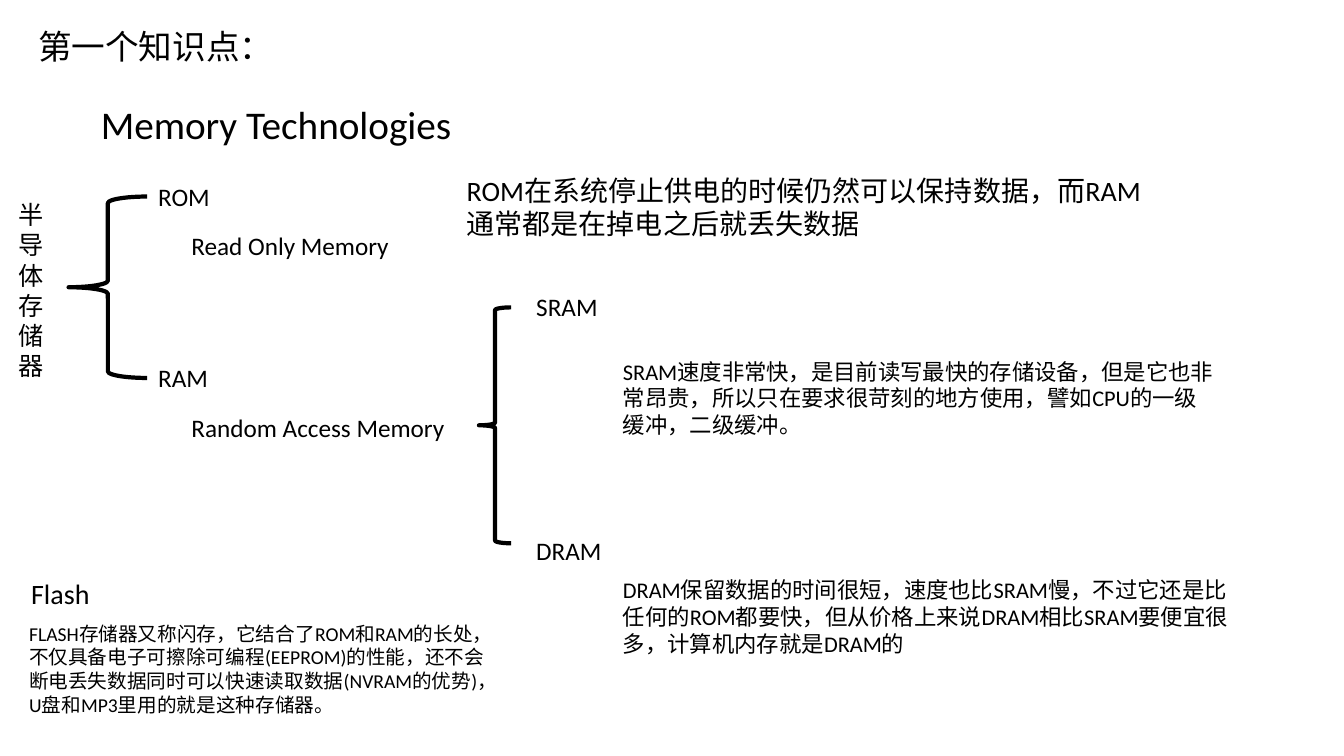
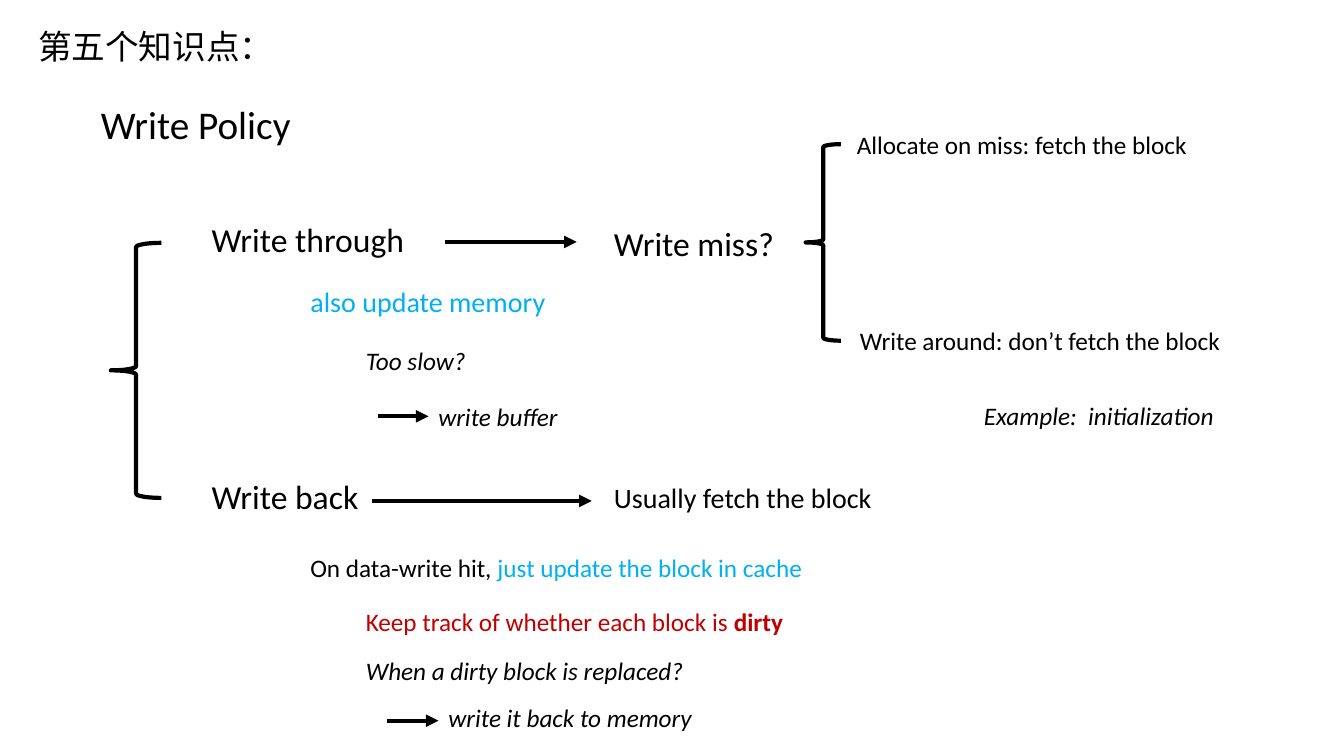
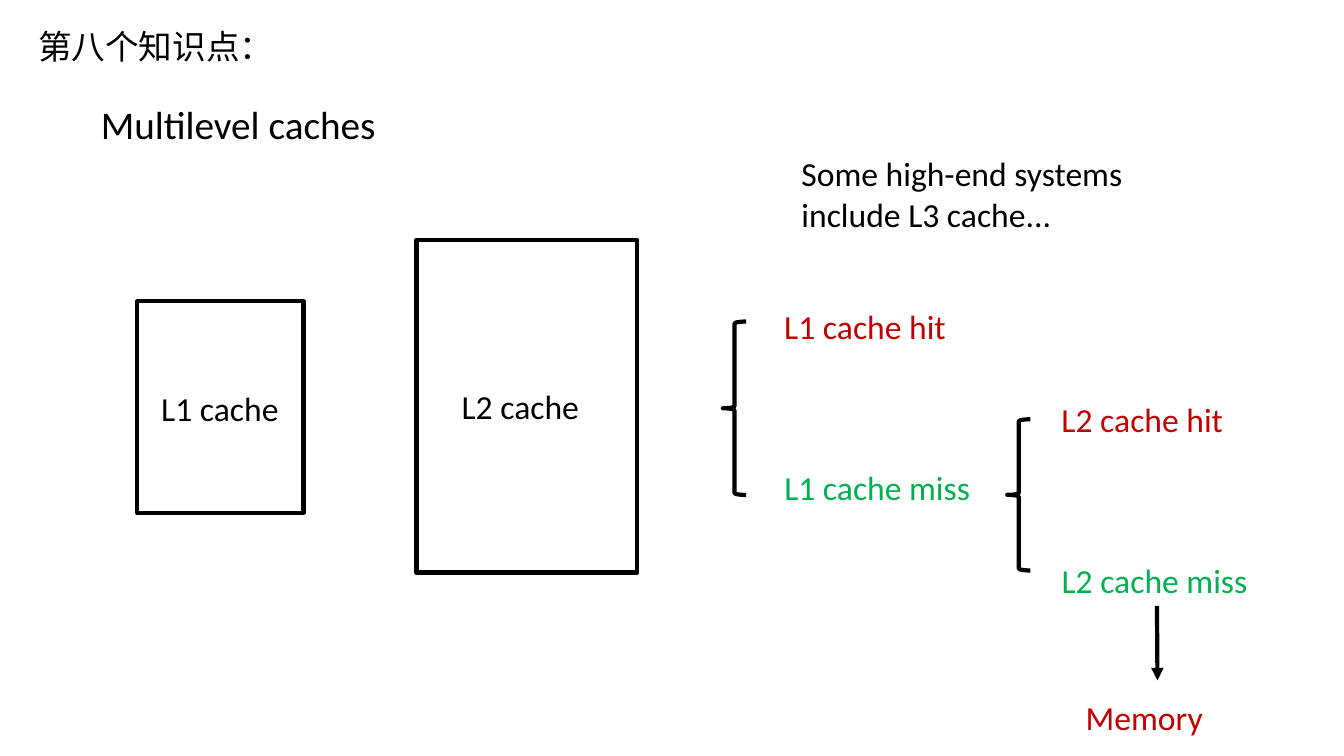
from lxml import etree
from pptx import Presentation
from pptx.dml.color import RGBColor
from pptx.enum.shapes import MSO_CONNECTOR as Connector, MSO_SHAPE as Shape
from pptx.enum.text import MSO_ANCHOR as Anchor, MSO_AUTO_SIZE as AutoSize, PP_ALIGN as Align
from pptx.oxml.ns import qn
from pptx.util import Inches, Pt

BLACK = RGBColor(0x00, 0x00, 0x00)
BLUE = RGBColor(0x00, 0xB0, 0xF0)
RED = RGBColor(0xC0, 0x00, 0x00)
GREEN = RGBColor(0x00, 0xB0, 0x50)

LATIN_FONT = "Calibri"
CHINESE_FONT = "Noto Sans CJK SC"
LINE_WIDTH = Pt(3)
TOP, LEFT, BOTTOM = 0, 1, 2

PLAIN = {}
ITALIC = {"italic": True}
IN_BLUE = {"color": BLUE}
IN_RED = {"color": RED}
IN_GREEN = {"color": GREEN}
BOLD_RED = {"color": RED, "bold": True}

# texts: left, top, width, size, number of lines, then (words, style) spans
# braces and boxes: left, top, width, height
# arrows: start, end, text joined at the start (side), text joined at the end (side)
SLIDES = [
    {
        "label": "第一个知识点：",
        "title": "Memory Technologies",
        "texts": [
            (1.47, 1.75, 1.15, 18, 1, ("ROM", PLAIN)),
            (1.47, 3.55, 1.15, 18, 1, ("RAM", PLAIN)),
            (0.09, 1.93, 0.44, 18, 6, ("半导体存储器", PLAIN)),
            (1.8, 2.24, 2.48, 18, 1, ("Read Only Memory", PLAIN)),
            (4.53, 1.67, 7.09, 20, 2,
             ("ROM在系统停止供电的时候仍然可以保持数据，而RAM通常都是在掉电之后就丢失数据", PLAIN)),
            (1.8, 4.04, 3.11, 18, 1, ("Random Access Memory", PLAIN)),
            (5.22, 2.84, 1.15, 18, 1, ("SRAM", PLAIN)),
            (5.22, 5.26, 1.15, 18, 1, ("DRAM", PLAIN)),
            (6.08, 3.5, 6.11, 16, 3,
             ("SRAM速度非常快，是目前读写最快的存储设备，但是它也非常昂贵，"
              "所以只在要求很苛刻的地方使用，譬如CPU的一级缓冲，二级缓冲。", PLAIN)),
            (6.08, 5.67, 6.27, 16, 3,
             ("DRAM保留数据的时间很短，速度也比SRAM慢，不过它还是比任何的ROM都要快，"
              "但从价格上来说DRAM相比SRAM要便宜很多，计算机内存就是DRAM的", PLAIN)),
            (0.21, 5.67, 0.95, 20, 1, ("Flash", PLAIN)),
            (0.19, 6.12, 4.85, 14, 4,
             ("FLASH存储器又称闪存，它结合了ROM和RAM的长处，不仅具备电子可擦除可编程(EEPROM)的性能，"
              "还不会断电丢失数据同时可以快速读取数据(NVRAM的优势)，U盘和MP3里用的就是这种存储器。", PLAIN)),
        ],
        "braces": [(0.68, 1.95, 0.78, 1.8), (4.75, 3.05, 0.32, 2.34)],
        "boxes": [],
        "arrows": [],
    },
    {
        "label": "第五个知识点：",
        "title": "Write Policy",
        "texts": [
            (2, 2.12, 2.25, 24, 1, ("Write through", PLAIN)),
            (2, 4.67, 2.25, 24, 1, ("Write back", PLAIN)),
            (2.98, 2.77, 2.55, 20, 1, ("also update memory", IN_BLUE)),
            (3.53, 3.38, 1.2, 18, 1, ("Too slow?", ITALIC)),
            (4.25, 3.93, 1.4, 18, 1, ("write buffer", ITALIC)),
            (2.98, 5.43, 5.14, 18, 1,
             ("On data-write hit, ", PLAIN), ("just update the block in cache", IN_BLUE)),
            (3.53, 5.97, 4.37, 18, 1,
             ("Keep track of whether each block is ", IN_RED), ("dirty", BOLD_RED)),
            (3.53, 6.45, 3.38, 18, 1, ("When a dirty block is replaced?", ITALIC)),
            (4.35, 6.92, 2.64, 18, 1, ("write it back to memory", ITALIC)),
            (5.99, 2.16, 2.25, 24, 1, ("Write miss?", PLAIN)),
            (8.4, 1.23, 3.51, 18, 1, ("Allocate on miss: fetch the block", PLAIN)),
            (8.43, 3.18, 3.81, 18, 1, ("Write around: don’t fetch the block", PLAIN)),
            (5.99, 4.72, 2.78, 20, 1, ("Usually fetch the block", PLAIN)),
            (9.66, 3.92, 2.57, 18, 1, ("Example:  initialization", ITALIC)),
        ],
        "braces": [(1.1, 2.41, 0.5, 2.53), (7.99, 1.43, 0.35, 1.95)],
        "boxes": [],
        "arrows": [
            ((3.75, 4.13), (4.25, 4.13), None, ("write buffer", LEFT)),
            ((3.84, 7.15), (4.35, 7.15), None, None),
            ((4.41, 2.4), (5.72, 2.4), None, None),
            ((3.69, 4.97), (5.87, 4.97), None, None),
        ],
    },
    {
        "label": "第八个知识点：",
        "title": "Multilevel caches",
        "texts": [
            (1.5, 3.8, 1.38, 24, 1, ("L1 cache", PLAIN)),
            (4.48, 3.78, 1.83, 24, 1, ("L2 cache", PLAIN)),
            (7.85, 1.47, 4.02, 24, 2, ("Some high-end systems include L3 cache...", PLAIN)),
            (7.68, 2.99, 1.93, 24, 1, ("L1 cache hit", IN_RED)),
            (7.68, 4.58, 2.09, 24, 1, ("L1 cache miss", IN_GREEN)),
            (10.43, 3.91, 1.93, 24, 1, ("L2 cache hit", IN_RED)),
            (10.43, 5.51, 2.09, 24, 1, ("L2 cache miss", IN_GREEN)),
            (10.67, 6.86, 1.62, 24, 1, ("Memory", IN_RED)),
        ],
        "braces": [(7.17, 3.19, 0.23, 1.72), (9.99, 4.16, 0.23, 1.5)],
        "boxes": [(1.36, 2.99, 1.65, 2.1), (4.13, 2.38, 2.19, 3.3)],
        "arrows": [((11.48, 6.01), (11.48, 6.75), ("L2 cache miss", BOTTOM), None)],
    },
]


def set_text(shape, size, spans):
    """Write (words, style) spans into the shape's only paragraph."""
    frame = shape.text_frame
    frame.word_wrap = True
    frame.auto_size = AutoSize.SHAPE_TO_FIT_TEXT
    frame.vertical_anchor = Anchor.TOP
    para = frame.paragraphs[0]
    para.alignment = Align.LEFT
    for words, style in spans:
        span = para.add_run()
        span.text = words
        font_values = {"name": LATIN_FONT, "size": Pt(size), "bold": False, "italic": False}
        font_values.update(style)
        span.font.color.rgb = font_values.pop("color", BLACK)
        for name, value in font_values.items():
            setattr(span.font, name, value)
        latin = span.font._element.find(qn("a:latin"))
        east_asian = etree.Element(qn("a:ea"), typeface=CHINESE_FONT)
        latin.addnext(east_asian)


def text_height(size, lines=1):
    """Height in inches of a box with 1.2 line spacing and 0.05 inch margins."""
    return round(size * 1.2 * lines / 72 + 0.1, 2)


deck = Presentation()
deck.slide_width = Inches(13.33)
deck.slide_height = Inches(7.5)
title_only = deck.slide_layouts[5]

for content in SLIDES:
    page = deck.slides.add_slide(title_only)

    title = page.shapes.title
    title.left, title.top = Inches(0.9), Inches(0.94)
    title.width, title.height = Inches(3.84), Inches(text_height(28))
    set_text(title, 28, [(content["title"], PLAIN)])

    outlines = [(Shape.LEFT_BRACE, place) for place in content["braces"]]
    outlines += [(Shape.RECTANGLE, place) for place in content["boxes"]]
    for kind, place in outlines:
        outline = page.shapes.add_shape(kind, *map(Inches, place))
        outline.shadow.inherit = False
        outline.fill.background()
        outline.line.color.rgb = BLACK
        outline.line.width = LINE_WIDTH

    label = (0.28, 0.21, 3.84, 24, 1, (content["label"], PLAIN))
    text_boxes = {}
    for left, top, width, size, lines, *spans in [label] + content["texts"]:
        place = (left, top, width, text_height(size, lines))
        text_box = page.shapes.add_textbox(*map(Inches, place))
        set_text(text_box, size, spans)
        text_boxes[spans[0][0]] = text_box

    for start, end, start_joint, end_joint in content["arrows"]:
        arrow = page.shapes.add_connector(Connector.STRAIGHT, *map(Inches, start + end))
        if start_joint:
            arrow.begin_connect(text_boxes[start_joint[0]], start_joint[1])
        if end_joint:
            arrow.end_connect(text_boxes[end_joint[0]], end_joint[1])
        arrow.line.color.rgb = BLACK
        arrow.line.width = LINE_WIDTH
        etree.SubElement(arrow.line._get_or_add_ln(), qn("a:tailEnd"), type="triangle")
        etree.SubElement(arrow._element.spPr, qn("a:effectLst"))

deck.save("out.pptx")
